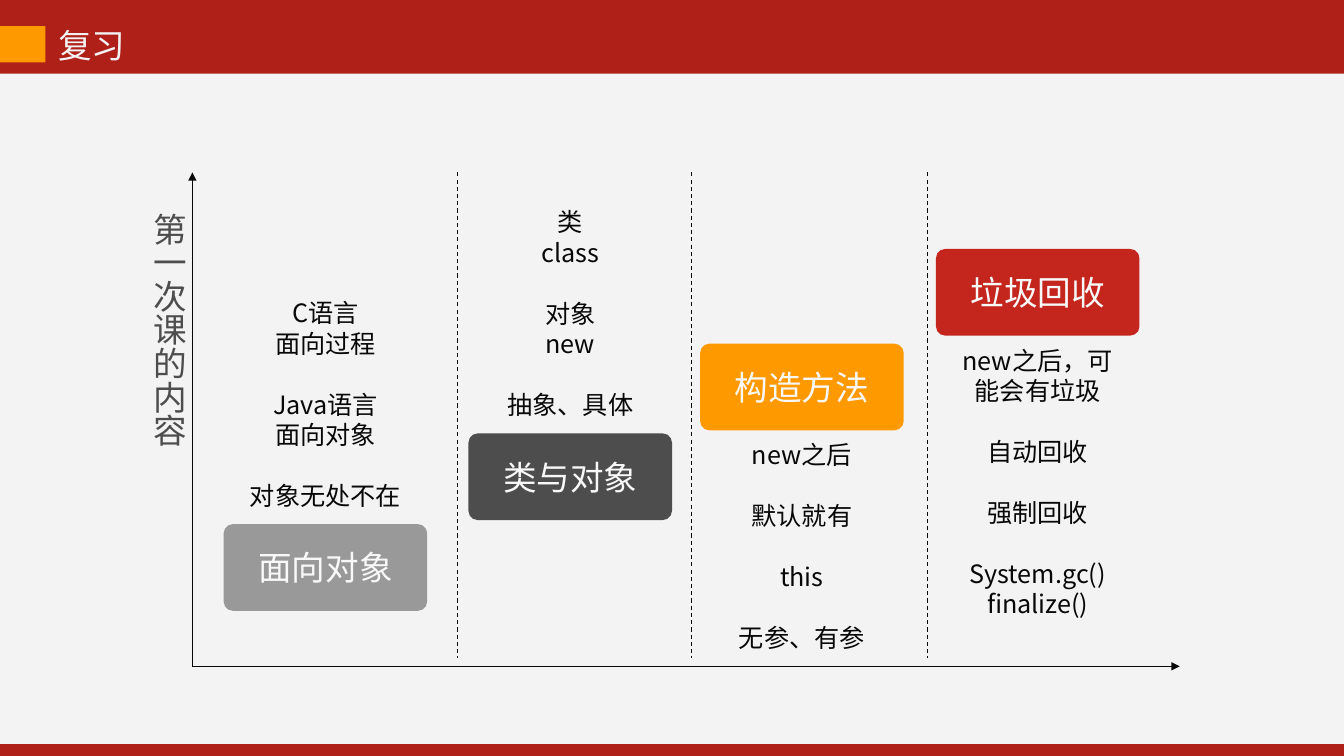
from pptx import Presentation
from pptx.dml.color import RGBColor
from pptx.enum.dml import MSO_LINE
from pptx.enum.shapes import MSO_CONNECTOR, MSO_SHAPE
from pptx.enum.text import MSO_ANCHOR, PP_ALIGN
from pptx.oxml.ns import qn
from pptx.util import Inches, Pt
from lxml import etree

RECT, ROUNDED = MSO_SHAPE.RECTANGLE, MSO_SHAPE.ROUNDED_RECTANGLE
STRAIGHT, DASH = MSO_CONNECTOR.STRAIGHT, MSO_LINE.DASH
CENTER, LEFT, MIDDLE = PP_ALIGN.CENTER, PP_ALIGN.LEFT, MSO_ANCHOR.MIDDLE

DARK_RED = RGBColor(0xAF, 0x20, 0x19)
RED = RGBColor(0xC4, 0x26, 0x1D)
ORANGE = RGBColor(0xFF, 0x99, 0x00)
GRAY = RGBColor(0x99, 0x99, 0x99)
CHARCOAL = RGBColor(0x4D, 0x4D, 0x4D)
INK = RGBColor(0x08, 0x08, 0x08)
PALE = RGBColor(0xF3, 0xF3, 0xF3)
WHITE = RGBColor(0xF8, 0xF8, 0xF8)

HEADING, BODY = 24, 18
LINE_HEIGHT = 1.21  # times the font size
CARD_WIDTH, CARD_HEIGHT = 2.02, 0.86
NOTE_WIDTH = 1.72
AXIS_X, AXIS_Y, AXIS_TOP, AXIS_RIGHT = 1.91, 6.61, 1.71, 11.71
DIVIDER_BOTTOM = 6.53

# Title, colour, card left and top, note top and height, note groups
TOPICS = [
    ("面向对象", GRAY, 2.22, 5.2, 2.9, 2.22,
     [["C语言", "面向过程"], ["Java语言", "面向对象"], ["对象无处不在"]]),
    ("类与对象", CHARCOAL, 4.65, 4.3, 2.0, 2.22,
     [["类", "class"], ["对象", "new"], ["抽象、具体"]]),
    ("构造方法", ORANGE, 6.95, 3.41, 4.31, 2.22,
     [["new之后"], ["默认就有"], ["this"], ["无参、有参"]]),
    ("垃圾回收", RED, 9.29, 2.47, 3.37, 2.83,
     [["new之后，可能会有垃圾"], ["自动回收"], ["强制回收"],
      ["System.gc()", "finalize()"]]),
]
DIVIDERS = [4.54, 6.86, 9.21]


class ReviewSlide:
    """Holds the fonts and the page, and draws each kind of element."""

    cjk_font, label_font = "Noto Sans CJK SC", "Arial"

    def __init__(self, page):
        self.page = page
        page.background.fill.solid()
        page.background.fill.fore_color.rgb = DARK_RED

    def block(self, left, top, width, height, color, kind=RECT):
        shape = self.page.shapes.add_shape(
            kind, Inches(left), Inches(top), Inches(width), Inches(height))
        shape.shadow.inherit = False
        shape.fill.solid()
        shape.fill.fore_color.rgb = color
        shape.line.fill.background()
        return shape

    def style(self, paragraph, size, color, font, align):
        paragraph.alignment = align
        paragraph.font.size = Pt(size)
        paragraph.font.color.rgb = color
        paragraph.font.name = font

    def card(self, title, color, left, top):
        shape = self.block(left, top, CARD_WIDTH, CARD_HEIGHT, color, ROUNDED)
        shape.adjustments[0] = 0.106
        frame = shape.text_frame
        frame.vertical_anchor = MIDDLE
        frame.text = title
        self.style(frame.paragraphs[0], HEADING, WHITE, self.label_font, CENTER)

    def text(self, left, top, width, height, groups, size, color,
             align=LEFT, wrap=True, vertical=False):
        """Write groups of lines, one empty line's height apart."""
        box = self.page.shapes.add_textbox(
            Inches(left), Inches(top), Inches(width), Inches(height))
        frame = box.text_frame
        frame.word_wrap = wrap
        if vertical:
            frame._txBody.find(qn("a:bodyPr")).set("vert", "eaVert")
        frame.text = "\n".join(line for group in groups for line in group)
        paragraphs = iter(frame.paragraphs)
        for group_index, group in enumerate(groups):
            for line_index in range(len(group)):
                paragraph = next(paragraphs)
                self.style(paragraph, size, color, self.cjk_font, align)
                if not vertical:
                    paragraph.line_spacing = Pt(size * LINE_HEIGHT)
                if group_index and not line_index:
                    paragraph.space_before = Pt(size * LINE_HEIGHT)

    def line(self, start, end, dashed=False, arrow=False):
        connector = self.page.shapes.add_connector(
            STRAIGHT, *(Inches(value) for value in (*start, *end)))
        connector.line.color.rgb = INK
        connector.line.width = Pt(0.75)
        if dashed:
            connector.line.dash_style = DASH
        properties = connector._element.spPr
        if arrow:
            outline = properties.find(qn("a:ln"))
            etree.SubElement(outline, qn("a:tailEnd"), type="triangle")
        etree.SubElement(properties, qn("a:effectLst"))


def main():
    deck = Presentation()
    deck.slide_width, deck.slide_height = Inches(13.34), Inches(7.5)
    slide = ReviewSlide(deck.slides.add_slide(deck.slide_layouts[6]))

    # Panel and heading
    slide.block(0, 0.73, 13.34, 6.65, PALE)
    slide.text(0.48, 0.19, 0.88, 0.5, [["复习"]], HEADING, PALE, wrap=False)
    slide.block(0, 0.26, 0.45, 0.36, ORANGE)

    # Axes and column dividers
    origin = (AXIS_X, AXIS_Y)
    for end in ((AXIS_X, AXIS_TOP), (AXIS_RIGHT, AXIS_Y)):
        slide.line(origin, end, arrow=True)
    for x in DIVIDERS:
        slide.line((x, AXIS_TOP), (x, DIVIDER_BOTTOM), dashed=True)
    slide.text(1.32, 2.01, 0.61, 2.71, [["第一次课的内容"]], HEADING, CHARCOAL,
               vertical=True)

    # Topic cards with their notes
    for title, color, left, top, note_top, note_height, groups in TOPICS:
        slide.card(title, color, left, top)
        note_left = left + (CARD_WIDTH - NOTE_WIDTH) / 2
        slide.text(note_left, note_top, NOTE_WIDTH, note_height, groups,
                   BODY, INK, align=CENTER)

    deck.save("out.pptx")


if __name__ == "__main__":
    main()
